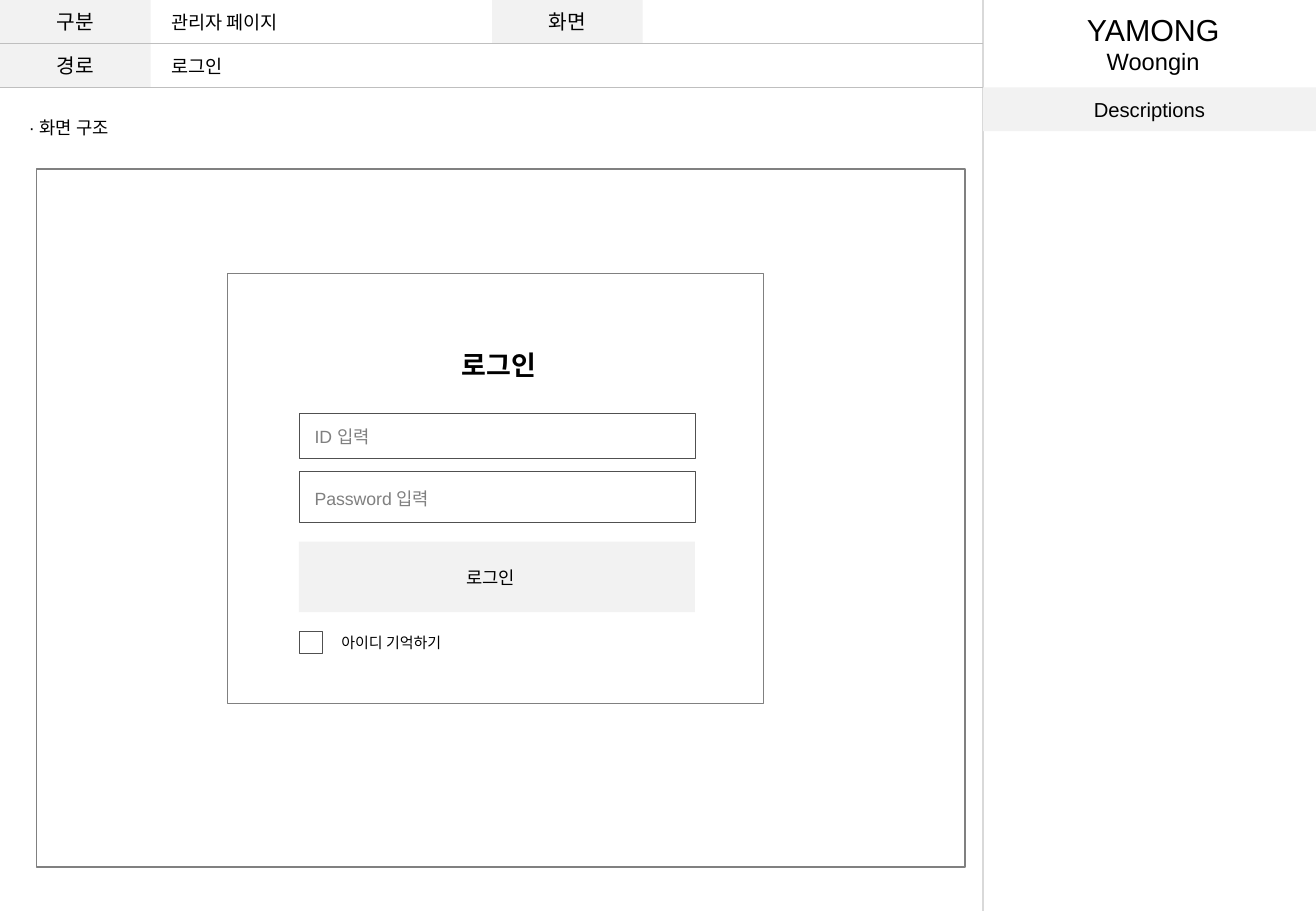
from pptx import Presentation
from pptx.dml.color import RGBColor
from pptx.enum.shapes import MSO_CONNECTOR as Link, MSO_SHAPE as Shape
from pptx.enum.text import MSO_ANCHOR as Anchor, MSO_AUTO_SIZE as Fit, PP_ALIGN as Align
from pptx.oxml.ns import qn
from pptx.util import Inches, Pt
from lxml.etree import SubElement

BLACK = RGBColor(0x00, 0x00, 0x00)
WHITE = RGBColor(0xFF, 0xFF, 0xFF)
PALE = RGBColor(0xF2, 0xF2, 0xF2)
LIGHT = RGBColor(0xD9, 0xD9, 0xD9)
SILVER = RGBColor(0xBF, 0xBF, 0xBF)
GRAY = RGBColor(0x80, 0x80, 0x80)
DARK = RGBColor(0x50, 0x50, 0x50)

WIDE, HIGH = 10.83, 7.5
SIDE = 8.09
ROW = 0.36
CELL = 1.24


def write(para, text, size, color=BLACK, bold=False, align=Align.LEFT):
    """Fill a paragraph with one formatted run."""
    para.alignment = align
    run = para.add_run()
    run.text = text
    look = {"name": "Arial", "size": Pt(size), "bold": bold}
    for key, value in look.items():
        setattr(run.font, key, value)
    run.font.color.rgb = color


def box(slide, area, fill=None, edge=None, width=0.25):
    """Draw a rectangle with an optional fill and edge."""
    rect = slide.shapes.add_shape(Shape.RECTANGLE, *map(Inches, area))
    rect.shadow.inherit = False
    if fill is None:
        rect.fill.background()
    else:
        rect.fill.solid()
        rect.fill.fore_color.rgb = fill
    if edge is None:
        rect.line.fill.background()
    else:
        rect.line.color.rgb = edge
        rect.line.width = Pt(width)
    return rect


def label(slide, area, text, size, fill=PALE, align=Align.CENTER):
    """Draw a filled rectangle with text in its middle."""
    frame = box(slide, area, fill).text_frame
    pads = {"margin_left": 0.08, "margin_right": 0.08,
            "margin_top": 0.04, "margin_bottom": 0.04}
    for key, value in pads.items():
        setattr(frame, key, Inches(value))
    frame.vertical_anchor = Anchor.MIDDLE
    frame.word_wrap = True
    write(frame.paragraphs[0], text, size, align=align)


def note(slide, area, lines, **look):
    """Add a text box that holds lines of text and size."""
    frame = slide.shapes.add_textbox(*map(Inches, area)).text_frame
    frame.word_wrap = False
    frame.auto_size = Fit.SHAPE_TO_FIT_TEXT
    for index, (text, size) in enumerate(lines):
        para = frame.add_paragraph() if index else frame.paragraphs[0]
        write(para, text, size, **look)


def rule(slide, start, end, color):
    """Draw a thin straight line."""
    points = map(Inches, (*start, *end))
    line = slide.shapes.add_connector(Link.STRAIGHT, *points)
    line.line.color.rgb = color
    line.line.width = Pt(0.75)
    SubElement(line._element.spPr, qn("a:effectLst"))


def header(slide):
    """Draw the heading rows and the side panel."""
    rule(slide, (SIDE, 0), (SIDE, HIGH), LIGHT)
    for left, row, text in ((0, 0, "구분"), (4.05, 0, "화면"), (0, 1, "경로")):
        label(slide, (left, row * ROW, CELL, ROW), text, 12)
    label(slide, (SIDE, 2 * ROW, WIDE - SIDE, ROW), "Descriptions", 12)
    for row in (1, 2):
        rule(slide, (0, row * ROW), (SIDE, row * ROW), SILVER)
    note(slide, (8.83, 0.04, 1.32, 0.64),
         [("YAMONG", 18), ("Woongin", 14)], align=Align.CENTER)
    note(slide, (1.31, 0.04, 1.17, 0.29), [("관리자 페이지", 11)])
    note(slide, (1.31, 0.4, 0.66, 0.29), [("로그인", 11)])


def login(slide):
    """Draw the screen frame with the login form."""
    note(slide, (0.14, 0.91, 0.95, 0.29), [("· 화면 구조", 10.5)])
    box(slide, (0.3, 1.39, 7.64, 5.75), edge=GRAY, width=1)
    box(slide, (1.87, 2.25, 4.41, 3.54), edge=GRAY, width=0.5)
    note(slide, (3.7, 2.82, 0.88, 0.37), [("로그인", 16)], bold=True)
    fields = (
        (3.4, 0.37, 3.46, 0.8, "ID 입력"),
        (3.88, 0.42, 3.97, 1.25, "Password 입력"),
    )
    for top, high, base, wide, hint in fields:
        box(slide, (2.46, top, 3.26, high), WHITE, DARK)
        note(slide, (2.49, base, wide, 0.28), [(hint, 10.5)], color=GRAY)
    box(slide, (2.46, 4.46, 3.26, 0.58), PALE)
    note(slide, (3.74, 4.62, 0.66, 0.29), [("로그인", 10.5)])
    box(slide, (2.46, 5.2, 0.19, 0.18), WHITE, DARK)
    label(slide, (2.73, 5.19, 1.12, 0.2), "아이디 기억하기", 8.9, WHITE, Align.LEFT)


def main():
    """Build and save the login screen slide."""
    deck = Presentation()
    deck.slide_width, deck.slide_height = Inches(WIDE), Inches(HIGH)
    slide = deck.slides.add_slide(deck.slide_layouts[6])
    header(slide)
    login(slide)
    deck.save("out.pptx")


if __name__ == "__main__":
    main()
